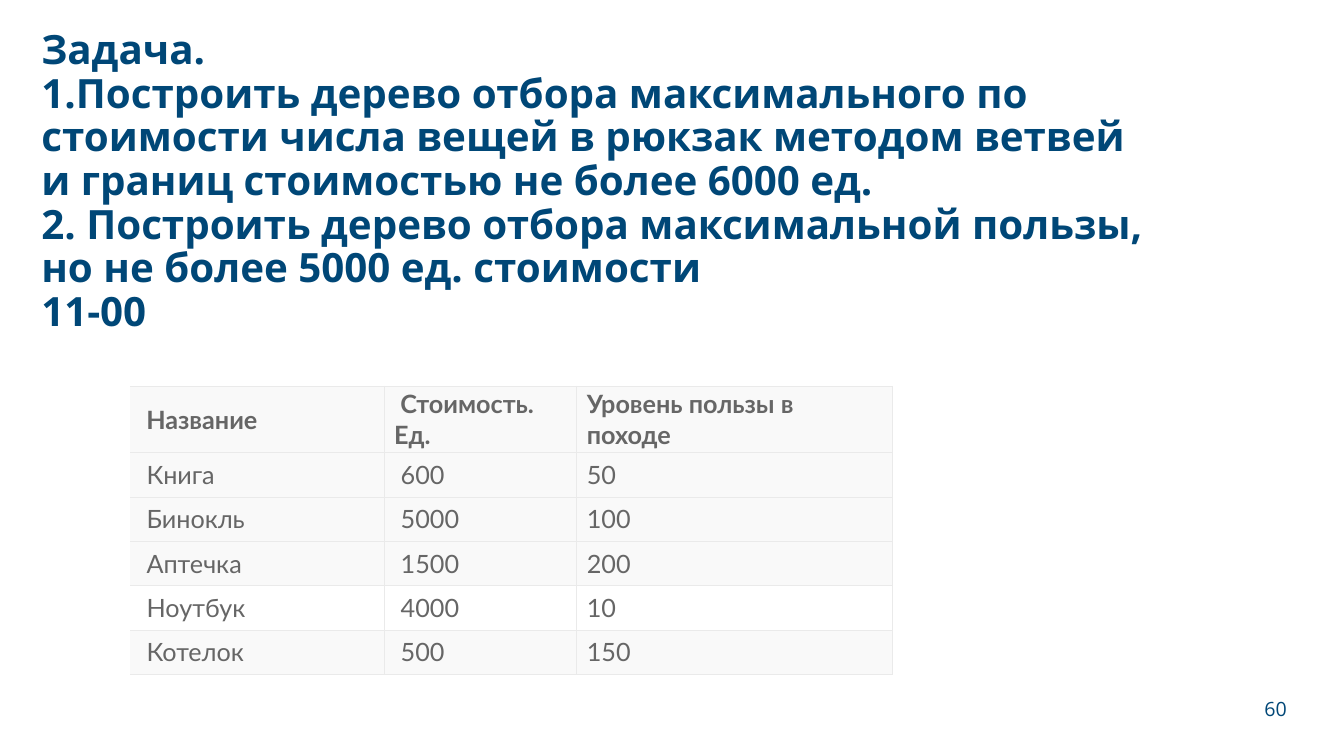
from lxml.etree import SubElement
from pptx import Presentation
from pptx.dml.color import RGBColor
from pptx.enum.text import MSO_ANCHOR as Anchor, MSO_AUTO_SIZE as AutoSize, PP_ALIGN as Align
from pptx.oxml.ns import qn
from pptx.util import Inches, Pt

TITLE = [
    "Задача. ",
    "1.Построить дерево отбора максимального по стоимости числа вещей в рюкзак "
    "методом ветвей и границ стоимостью не более 6000 ед. ",
    "2. Построить дерево отбора максимальной пользы, но не более 5000 ед. стоимости",
    "11-00",
]
ITEMS = [
    (" Название", " Стоимость. Ед.", "Уровень пользы в походе"),
    (" Книга", " 600", "50"),
    (" Бинокль", " 5000", "100"),
    (" Аптечка", " 1500", "200"),
    (" Ноутбук", " 4000", "10"),
    (" Котелок", " 500", "150"),
]
PLAIN_ROW = 4


def rgb(value):
    return RGBColor.from_string(value)


class SlideBuilder:
    heading_font, table_font = "Open Sans", "Lato"
    navy, grey, border, shade, white = "004777", "666666", "EAEAEA", "F9F9F9", "FFFFFF"

    def __init__(self, prs):
        self.slide = prs.slides.add_slide(prs.slide_layouts[5])

    def style(self, p, font, size, color, bold=False, align=Align.LEFT):
        p.alignment = align
        p.font.name, p.font.size, p.font.bold = font, Pt(size), bold
        p.font.color.rgb = rgb(color)

    def title(self, lines, x, y, w, h):
        sp = self.slide.shapes.title
        sp.left, sp.top, sp.width, sp.height = (Inches(v) for v in (x, y, w, h))
        tf = sp.text_frame
        tf.word_wrap, tf.auto_size, tf.vertical_anchor = True, AutoSize.NONE, Anchor.MIDDLE
        p = tf.paragraphs[0]
        p.text = "\v".join(lines)
        p.line_spacing = 0.9
        self.style(p, self.heading_font, 28.8, self.navy, bold=True)

    def page_number(self, text, x, y, w, h):
        sp = self.slide.shapes.add_textbox(*(Inches(v) for v in (x, y, w, h)))
        tf = sp.text_frame
        tf.word_wrap, tf.vertical_anchor = True, Anchor.MIDDLE
        p = tf.paragraphs[0]
        p.text = text
        self.style(p, self.heading_font, 14, self.navy, align=Align.RIGHT)

    def borders(self, cell, first):
        tc_pr = cell._tc.get_or_add_tcPr()
        for side in ("lnL", "lnR", "lnT", "lnB"):
            ln = SubElement(tc_pr, qn(f"a:{side}"), w=str(Pt(0.6)))
            if first and side == "lnL":
                SubElement(ln, qn("a:noFill"))
            else:
                fill = SubElement(ln, qn("a:solidFill"))
                SubElement(fill, qn("a:srgbClr"), val=self.border)

    def table(self, rows, x, y, widths, row_height):
        size = sum(widths), row_height * len(rows)
        frame = self.slide.shapes.add_table(
            len(rows), len(widths), *(Inches(v) for v in (x, y, *size)))
        table = frame.table
        table.first_row = table.horz_banding = False
        for column, width in zip(table.columns, widths):
            column.width = Inches(width)
        for i, row in enumerate(rows):
            table.rows[i].height = Inches(row_height)
            for j, text in enumerate(row):
                cell = table.cell(i, j)
                cell.margin_left = cell.margin_right = Inches(0.1)
                cell.margin_top = cell.margin_bottom = Inches(0.03)
                cell.vertical_anchor = Anchor.MIDDLE
                self.borders(cell, j == 0)
                cell.fill.solid()
                cell.fill.fore_color.rgb = rgb(self.white if i == PLAIN_ROW else self.shade)
                p = cell.text_frame.paragraphs[0]
                p.text = text
                self.style(p, self.table_font, 18, self.grey, bold=i == 0)


def main():
    prs = Presentation()
    prs.slide_width, prs.slide_height = Inches(13.33), Inches(7.5)
    s = SlideBuilder(prs)
    s.title(TITLE, 0.31, 0.4, 11.27, 2.82)
    s.page_number("60", 12.07, 6.84, 0.79, 0.39)
    s.table(ITEMS, 1.29, 3.83, (2.52, 1.91, 3.13), 0.44)
    prs.save("out.pptx")


if __name__ == "__main__":
    main()
